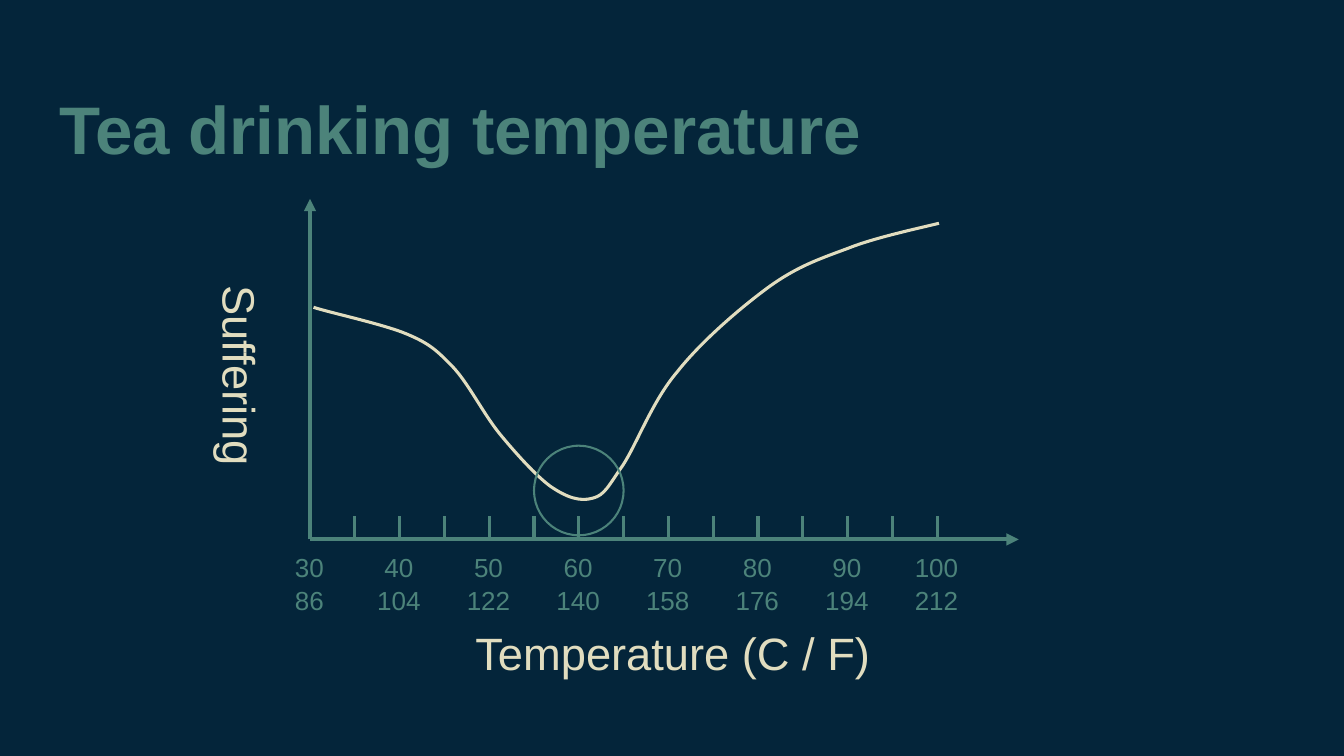
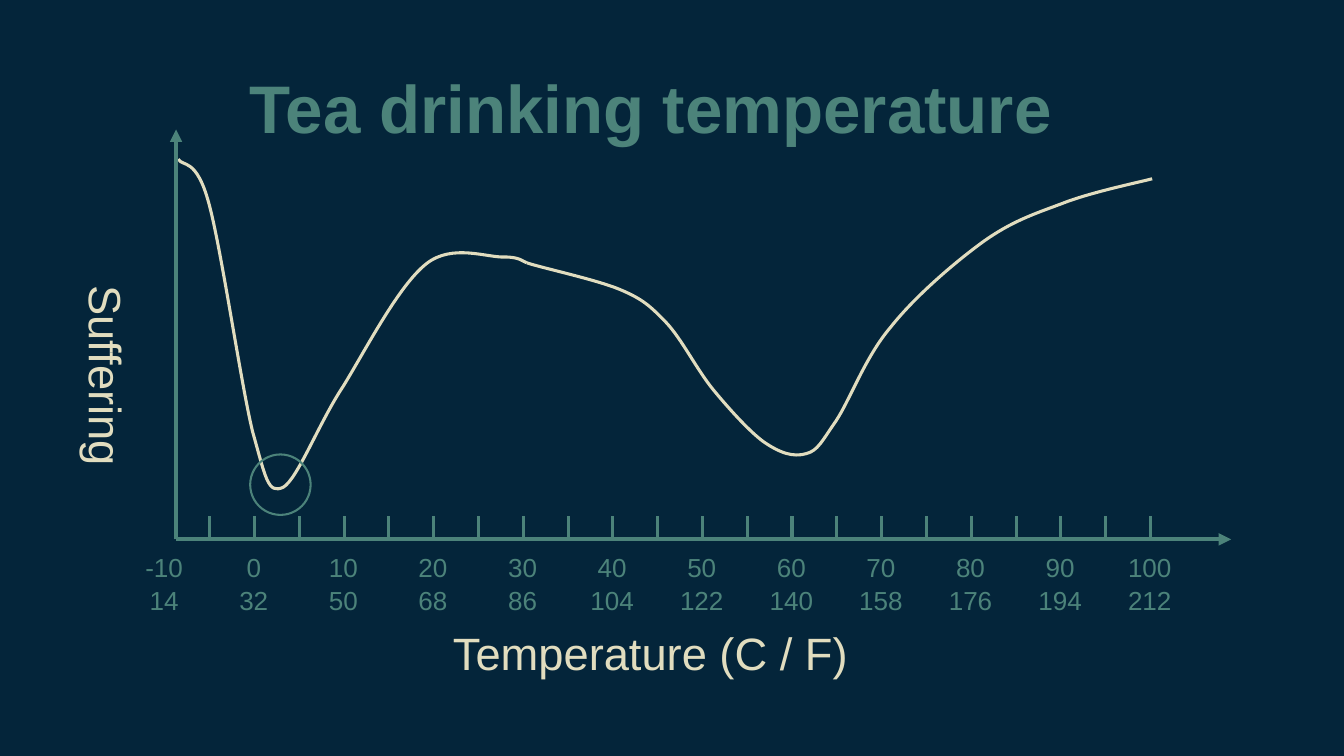
from lxml import etree
from pptx import Presentation, util as u
from pptx.dml.color import RGBColor
from pptx.enum import shapes, text
from pptx.oxml.ns import qn

NAVY, GREEN, CREAM = "04253A", "4C837A", "E1DDBF"
COLUMNS, ROWS = 30, 17
BASELINE = 12.13
DEGREES_PER_COLUMN = 5

# Bezier points as (degrees C, row): a start, then two handles and an end each.
HOT_CURVE = [
    (100.2, 5.02),
    (98.5, 5.11), (93.2, 5.33), (90.1, 5.58),
    (86.9, 5.82), (84.5, 5.98), (81.3, 6.44),
    (78.1, 6.91), (73.7, 7.67), (71, 8.36),
    (68.2, 9.02), (66.5, 9.98), (64.9, 10.47),
    (63.3, 10.93), (62.9, 11.13), (61.6, 11.2),
    (60.1, 11.29), (58.6, 11.18), (56.8, 10.93),
    (55.2, 10.69), (53, 10.2), (51.2, 9.76),
    (49.3, 9.29), (47.7, 8.62), (45.9, 8.24),
    (44.2, 7.89), (43.4, 7.73), (40.8, 7.51),
    (38.2, 7.29), (32, 7.02), (30.4, 6.91),
]
COLD_CURVE = [
    (30.4, 5.91),
    (30, 5.89), (29.7, 5.78), (27.9, 5.78),
    (26, 5.8), (22.1, 5.47), (19.2, 5.93),
    (16.1, 6.42), (12.5, 7.84), (9.9, 8.69),
    (7.2, 9.51), (4.8, 10.78), (3.2, 10.96),
    (1.5, 11.11), (1.3, 10.78), (-0.2, 9.71),
    (-1.5, 8.64), (-3.7, 5.58), (-5.1, 4.56),
    (-6.5, 3.53), (-8, 3.76), (-8.5, 3.58),
]


def rgb(value):
    return RGBColor.from_string(value)


class Deck:
    """Holds the style and the current slide; lengths are grid columns and rows."""

    def __init__(self):
        self.prs = Presentation()
        self.prs.slide_width = u.Inches(13.6)
        self.prs.slide_height = u.Inches(7.65)
        self.s = None
        self.zero = 0

    def x(self, columns):
        return round(columns * self.prs.slide_width / COLUMNS)

    def y(self, rows):
        return round(rows * self.prs.slide_height / ROWS)

    def column(self, degrees):
        return self.zero + degrees / DEGREES_PER_COLUMN

    def new_slide(self, zero):
        """Start a slide whose 0 °C stands at the column zero."""
        self.s = self.prs.slides.add_slide(self.prs.slide_layouts[6])
        self.s.background.fill.solid()
        self.s.background.fill.fore_color.rgb = rgb(NAVY)
        self.zero = zero

    def text(self, words, left, top, width, height, size, color,
             align=text.PP_ALIGN.CENTER, bold=False, rotation=0):
        sp = self.s.shapes.add_textbox(self.x(left), self.y(top),
                                       self.x(width), self.y(height))
        sp.rotation = rotation
        tf = sp.text_frame
        tf.word_wrap = True
        tf.margin_left = tf.margin_right = tf.margin_bottom = u.Inches(0.14)
        tf.margin_top = u.Pt(10 + 0.08 * size)
        tf.text = words
        for p in tf.paragraphs:
            p.alignment = align
            p.line_spacing = 1.04
            for r in p.runs:
                r.font.name = "Arial"
                r.font.size = u.Pt(size)
                r.font.bold = bold
                r.font.color.rgb = rgb(color)

    def title(self, words, left, top):
        self.text(words, left, top, 27.95, 1.89, 49, GREEN,
                  text.PP_ALIGN.LEFT, bold=True)

    def line(self, x1, y1, x2, y2, width, arrow=False):
        sp = self.s.shapes.add_connector(
            shapes.MSO_CONNECTOR.STRAIGHT,
            self.x(x1), self.y(y1), self.x(x2), self.y(y2))
        sp.line.color.rgb = rgb(GREEN)
        sp.line.width = u.Pt(width)
        if arrow:
            etree.SubElement(sp.line._get_or_add_ln(), qn("a:tailEnd"),
                             type="triangle")
        etree.SubElement(sp._element.spPr, qn("a:effectLst"))

    def outline(self, sp, color, width):
        sp.shadow.inherit = False
        sp.fill.background()
        sp.line.color.rgb = rgb(color)
        sp.line.width = u.Pt(width)

    def curve(self, points, lift=0):
        """Draw Bezier points, raised by lift rows."""
        start, *rest = [(self.x(self.column(c)), self.y(row - lift))
                        for c, row in points]
        builder = self.s.shapes.build_freeform(*start)
        builder.add_line_segments(rest, close=False)
        sp = builder.convert_to_shape()
        segments = list(sp._element.iter(qn("a:lnTo")))
        for i in range(0, len(segments), 3):
            bezier = etree.Element(qn("a:cubicBezTo"))
            segments[i].addprevious(bezier)
            for segment in segments[i:i + 3]:
                bezier.append(segment[0])
                segment.getparent().remove(segment)
        self.outline(sp, CREAM, 2.25)

    def circle(self, degrees, row, diameter):
        size = self.x(diameter)
        sp = self.s.shapes.add_shape(
            shapes.MSO_SHAPE.OVAL, self.x(self.column(degrees)) - size // 2,
            self.y(row) - size // 2, size, size)
        self.outline(sp, GREEN, 1.5)

    def axes(self, left, top, right, first, caption_left):
        """Draw both axes, with ticks and labels from first to 100 °C."""
        self.line(left, BASELINE, left, top, 3, arrow=True)
        self.line(left, BASELINE, right, BASELINE, 3, arrow=True)
        for c in range(first + 5, 101, 5):
            self.line(self.column(c), BASELINE, self.column(c), 11.6, 2.25)
        for c in range(first, 101, 10):
            self.text(f"{c}\n{c * 9 // 5 + 32}", self.column(c) - 0.94, 12.02,
                      1.85, 1.87, 19, GREEN)
        self.text("Suffering", left - 4.65, 7.51, 6.44, 1.87, 33, CREAM,
                  rotation=90)
        self.text("Temperature (C / F)", caption_left, 13.62, 11.74, 1.87,
                  33, CREAM)


def main():
    deck = Deck()

    deck.new_slide(zero=0.92)
    deck.title("Tea drinking temperature", 1.01, 1.47)
    deck.curve(HOT_CURVE)
    deck.axes(6.92, 4.47, 22.74, first=30, caption_left=9.15)
    deck.circle(60, 11.03, 2)

    deck.new_slide(zero=5.68)
    deck.title("Tea drinking temperature", 5.27, 0.98)
    deck.curve(COLD_CURVE)
    deck.curve(HOT_CURVE, lift=1)
    deck.axes(3.93, 2.91, 27.48, first=-10, caption_left=8.65)
    deck.circle(2.9, 10.9, 1.35)

    deck.prs.save("out.pptx")


if __name__ == "__main__":
    main()
